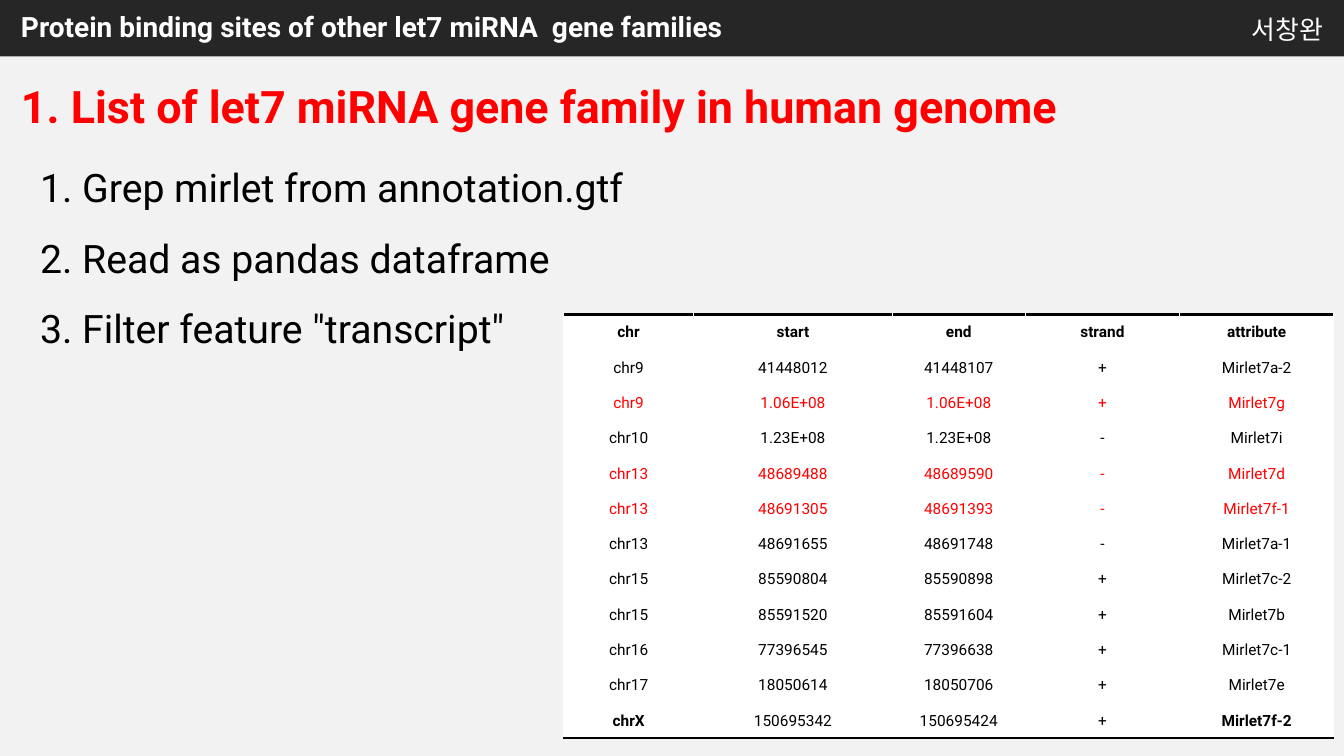
from lxml import etree
from pptx import Presentation
from pptx.dml.color import RGBColor
from pptx.enum import shapes, text
from pptx.oxml import ns
from pptx.util import Inches, Pt

WHITE = RGBColor(0xFF, 0xFF, 0xFF)
BLACK = RGBColor(0, 0, 0)
RED = RGBColor(0xFF, 0, 0)
CHARCOAL = RGBColor(0x26, 0x26, 0x26)
PALE_GREY = RGBColor(0xF2, 0xF2, 0xF2)
FONT = "Roboto"

STEPS = [
    "1. Grep mirlet from annotation.gtf",
    "2. Read as pandas dataframe",
    '3. Filter feature "transcript"',
]
GENES = [
    ("chr", "start", "end", "strand", "attribute"),
    ("chr9", "41448012", "41448107", "+", "Mirlet7a-2"),
    ("chr9", "1.06E+08", "1.06E+08", "+", "Mirlet7g"),
    ("chr10", "1.23E+08", "1.23E+08", "-", "Mirlet7i"),
    ("chr13", "48689488", "48689590", "-", "Mirlet7d"),
    ("chr13", "48691305", "48691393", "-", "Mirlet7f-1"),
    ("chr13", "48691655", "48691748", "-", "Mirlet7a-1"),
    ("chr15", "85590804", "85590898", "+", "Mirlet7c-2"),
    ("chr15", "85591520", "85591604", "+", "Mirlet7b"),
    ("chr16", "77396545", "77396638", "+", "Mirlet7c-1"),
    ("chr17", "18050614", "18050706", "+", "Mirlet7e"),
    ("chrX", "150695342", "150695424", "+", "Mirlet7f-2"),
]
RED_GENES = {"Mirlet7g", "Mirlet7d", "Mirlet7f-1"}
BOLD_LABELS = {*GENES[0], "chrX", "Mirlet7f-2"}
COLUMN_WIDTHS = [1.29, 1.97, 1.32, 1.53, 1.53]
ROW_HEIGHT = 0.35


def set_all(target, values):
    for name, value in values.items():
        setattr(target, name, value)


def write(para, words, size, color, bold=False):
    span = para.add_run()
    span.text = words
    set_all(span.font, {"name": FONT, "size": Pt(size), "bold": bold})
    span.font.color.rgb = color


def add_band(page, top, height, color):
    band = page.shapes.add_shape(
        shapes.MSO_SHAPE.RECTANGLE, 0, Inches(top), Inches(13.33), Inches(height))
    band.shadow.inherit = False
    band.fill.solid()
    band.fill.fore_color.rgb = color
    band.line.fill.background()


def add_text(page, place, lines, size, color, bold=False,
             anchor=text.MSO_ANCHOR.TOP, **layout):
    box = page.shapes.add_textbox(*map(Inches, place))
    frame = box.text_frame
    set_all(frame, {"word_wrap": True, "vertical_anchor": anchor})
    for index, line in enumerate(lines):
        para = frame.add_paragraph() if index else frame.paragraphs[0]
        set_all(para, layout)
        write(para, line, size, color, bold)


def add_rule(cell, side):
    rule = etree.Element(ns.qn(f"a:{side}"), w=str(Pt(2)))
    fill = etree.SubElement(rule, ns.qn("a:solidFill"))
    etree.SubElement(fill, ns.qn("a:srgbClr"), val=str(BLACK))
    cell._tc.get_or_add_tcPr().insert(0, rule)


def add_gene_table(page, left, top):
    frame = page.shapes.add_table(
        len(GENES), len(COLUMN_WIDTHS), Inches(left), Inches(top),
        Inches(sum(COLUMN_WIDTHS)), Inches(ROW_HEIGHT * len(GENES)))
    table = frame.table
    set_all(table, {"first_row": False, "horz_banding": False})
    for column, width in zip(table.columns, COLUMN_WIDTHS):
        column.width = Inches(width)
    for row, gene in zip(table.rows, GENES):
        row.height = Inches(ROW_HEIGHT)
        color = RED if gene[-1] in RED_GENES else BLACK
        for cell, value in zip(row.cells, gene):
            set_all(cell, {
                "margin_left": Inches(0.01), "margin_right": Inches(0.01),
                "margin_top": Inches(0.01), "margin_bottom": 0,
                "vertical_anchor": text.MSO_ANCHOR.MIDDLE,
            })
            cell.fill.solid()
            cell.fill.fore_color.rgb = WHITE
            para = cell.text_frame.paragraphs[0]
            para.alignment = text.PP_ALIGN.CENTER
            write(para, value, 11, color, value in BOLD_LABELS)
            if gene is GENES[0]:
                add_rule(cell, "lnT")
            if gene is GENES[-1]:
                add_rule(cell, "lnB")


def main():
    deck = Presentation()
    set_all(deck, {"slide_width": Inches(13.33), "slide_height": Inches(7.5)})
    page = deck.slides.add_slide(deck.slide_layouts[6])
    add_band(page, 0.56, 6.94, PALE_GREY)
    add_band(page, 0, 0.56, CHARCOAL)
    add_text(page, (0.11, -0.25, 12.09, 1.07),
             ["Protein binding sites of other let7 miRNA  gene families"],
             20, WHITE, True, text.MSO_ANCHOR.MIDDLE, line_spacing=0.9)
    add_text(page, (0.11, 0.62, 12.36, 0.72),
             ["1. List of let7 miRNA gene family in human genome"],
             32, RED, True, line_spacing=1.2)
    add_text(page, (12.2, 0, 1.02, 0.62), ["서창완"], 18.5, WHITE,
             anchor=text.MSO_ANCHOR.MIDDLE, line_spacing=0.9,
             alignment=text.PP_ALIGN.RIGHT)
    add_text(page, (0.3, 1.34, 10.95, 2.14), STEPS, 28, BLACK, line_spacing=1.5)
    add_gene_table(page, 5.59, 3.12)
    deck.save("out.pptx")


if __name__ == "__main__":
    main()
